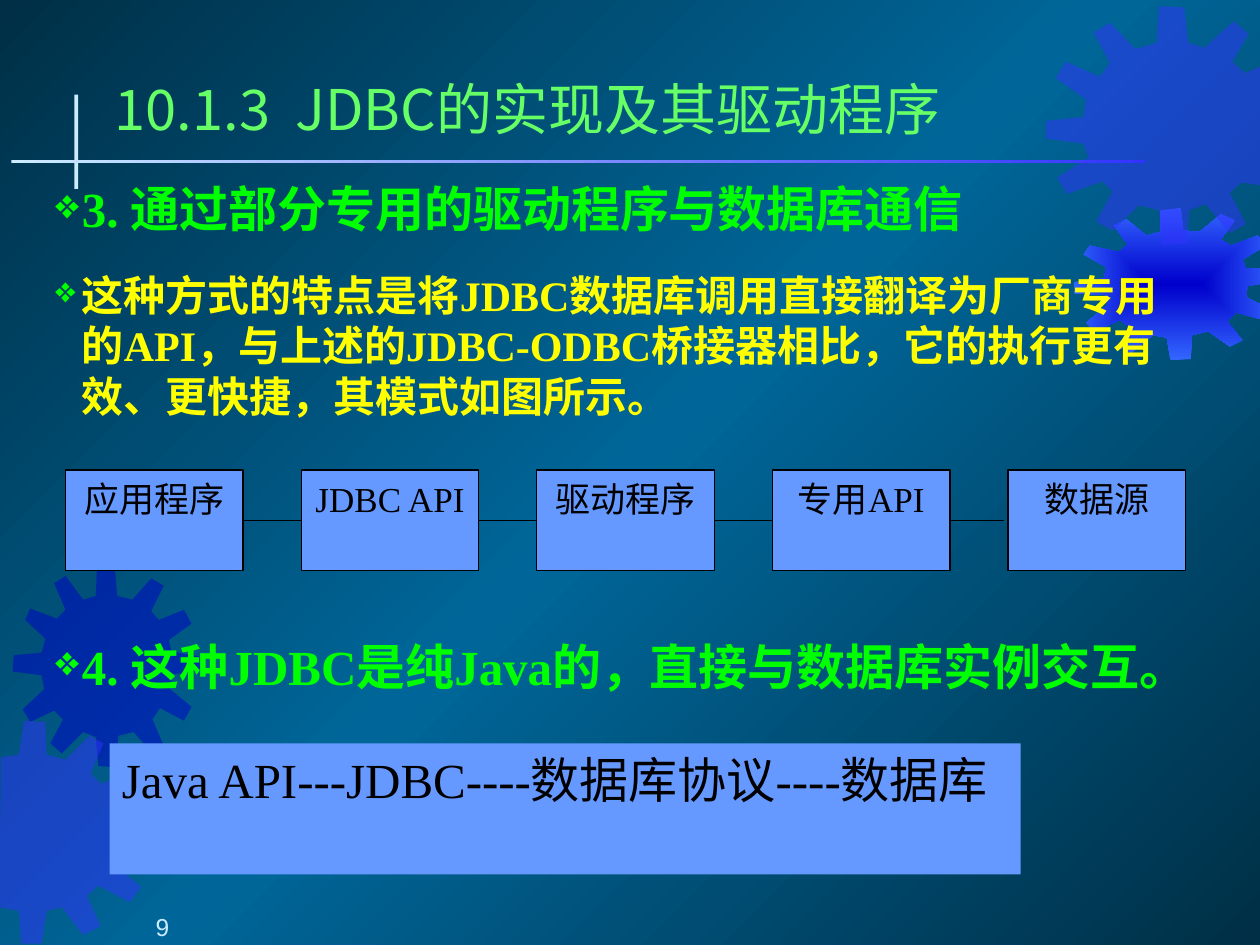
import pptx
import pptx.util
import pptx.dml.color
import pptx.enum.shapes
import pptx.enum.text
import pptx.oxml.ns
from lxml import etree

RGB = pptx.dml.color.RGBColor
BLACK = RGB(0x00, 0x00, 0x00)
NIGHT = RGB(0x00, 0x2F, 0x46)
SEA = RGB(0x00, 0x66, 0x99)
NAVY = RGB(0x00, 0x00, 0xCC)
BLUE = RGB(0x33, 0x33, 0xFF)
AZURE = RGB(0x33, 0x66, 0xFF)
SKY = RGB(0x66, 0x99, 0xFF)
ICE = RGB(0xCC, 0xEC, 0xFF)
MINT = RGB(0x66, 0xFF, 0x66)
GREEN = RGB(0x00, 0xFF, 0x00)
YELLOW = RGB(0xFF, 0xFF, 0x00)

SERIF, SANS, HAN = "Times New Roman", "Arial", "Noto Sans CJK SC"
COLS, ROWS = 1000, 750
ALIGN = pptx.enum.text.PP_ALIGN
ANCHOR = pptx.enum.text.MSO_ANCHOR
RECT = pptx.enum.shapes.MSO_SHAPE.RECTANGLE
STRAIGHT = pptx.enum.shapes.MSO_CONNECTOR.STRAIGHT
qn = pptx.oxml.ns.qn

LOW_GEAR = """105,476 93,473 91,449 77,450 76,473 66,476 52,457 43,463 52,484 45,491 24,483
20,492 36,507 33,518 11,520 10,533 33,536 35,547 18,563 24,573 43,564 50,571 40,590 49,598
66,581 76,585 78,608 92,609 94,584 106,581 121,598 130,592 121,571 127,562 146,572 152,561
135,547 137,535 159,533 158,521 136,517 134,508 152,495 146,484 126,492 120,485 130,465
120,459"""
EDGE_GEAR = """90,686 94,672 124,670 123,653 95,651 90,640 115,623 108,612 80,622 72,614 82,590
71,584 52,603 37,599 36,573 19,572 15,599 1,601 -1,720 15,723 17,749 33,749 37,723 49,720
66,742 80,735 69,711 78,703 103,716 112,704"""
MID_GEAR = """952,184 939,183 937,165 921,167 921,184 910,187 894,174 884,179 895,194 888,200
865,195 860,202 878,212 876,221 852,224 852,233 877,234 879,242 862,256 869,263 889,254
897,260 887,275 898,280 915,266 926,268 929,286 945,285 946,266 959,263 976,275 986,270
974,255 981,248 1003,254 1008,245 989,236 990,227 1014,223 1013,214 989,213 986,206 1005,195
998,187 977,195 969,190 980,175 969,170"""
TOP_GEAR = """904,163 920,167 922,195 942,193 944,167 957,162 976,185 989,178 976,153 985,145
1000,147 1000,53 988,58 978,49 991,27 979,17 956,38 943,34 940,6 920,5 918,34 901,39 881,18
868,26 881,50 873,61 846,49 838,62 862,79 860,93 830,96 830,110 860,114 864,125 839,141
847,154 875,144 883,152 870,176 883,183"""


class Deck:
    """Hold the style and the current slide, placed on a grid of COLS by ROWS."""

    def __init__(self):
        self.show = pptx.Presentation()
        self.show.slide_width = pptx.util.Inches(10)
        self.show.slide_height = pptx.util.Inches(7.5)
        self.col = self.show.slide_width // COLS
        self.row = self.show.slide_height // ROWS
        self.slide = self.show.slides.add_slide(self.show.slide_layouts[6])
        self.shapes = self.slide.shapes

    def place(self, x, y, w, h):
        return x * self.col, y * self.row, w * self.col, h * self.row

    def blend(self, fill, root, hues, angle=None):
        fill.gradient()
        node = root.find(".//" + qn("a:gradFill"))
        for child in list(node):
            node.remove(child)
        stops = etree.SubElement(node, qn("a:gsLst"))
        for i, hue in enumerate(hues):
            share = str(100000 * i // (len(hues) - 1))
            stop = etree.SubElement(stops, qn("a:gs"), pos=share)
            etree.SubElement(stop, qn("a:srgbClr"), val=str(hue))
        if angle is None:
            glow = etree.SubElement(node, qn("a:path"))
            glow.set("path", "rect")
            sides = dict.fromkeys("ltrb", "50000")
            etree.SubElement(glow, qn("a:fillToRect"), **sides)
        else:
            etree.SubElement(node, qn("a:lin"), ang=str(angle * 60000), scaled="1")

    def paint(self, shape, hue, line=None):
        shape.shadow.inherit = False
        if hue:
            shape.fill.solid()
            shape.fill.fore_color.rgb = hue
        if line:
            shape.line.color.rgb = line
            shape.line.width = pptx.util.Pt(0.75)
        else:
            shape.line.fill.background()
        return shape

    def gear(self, outline, hue=None):
        first, *rest = [tuple(map(int, spot.split(","))) for spot in outline.split()]
        pen = self.shapes.build_freeform(*first, scale=self.col)
        pen.add_line_segments(rest, close=True)
        shape = self.paint(pen.convert_to_shape(), hue)
        if hue:
            tint = shape.element.spPr.find(".//" + qn("a:srgbClr"))
            etree.SubElement(tint, qn("a:alpha"), val="50000")
        else:
            self.blend(shape.fill, shape.element, [NAVY, AZURE])

    def rect(self, spot, hue, line=None):
        return self.paint(self.shapes.add_shape(RECT, *self.place(*spot)), hue, line)

    def box(self, spot):
        return self.shapes.add_textbox(*self.place(*spot))

    def frame(self, shape, pad, anchor=ANCHOR.TOP):
        frame = shape.text_frame
        frame.word_wrap = True
        frame.vertical_anchor = anchor
        frame.margin_left = frame.margin_right = pad[0] * self.col
        frame.margin_top = frame.margin_bottom = pad[1] * self.row
        return frame

    def label(self, para, text, size, hue, font=SERIF, bold=False, align=ALIGN.LEFT,
              before=0, lead=None, left=0, hang=0, mark=False):
        para.text = text
        para.alignment = align
        para.space_before = pptx.util.Pt(before)
        para.line_spacing = lead
        props = para._p.get_or_add_pPr()
        props.set("marL", str(left * self.col))
        props.set("indent", str(-hang * self.col))
        if mark:
            tint = etree.SubElement(props, qn("a:buClr"))
            etree.SubElement(tint, qn("a:srgbClr"), val=str(GREEN))
            etree.SubElement(props, qn("a:buSzPct"), val="85000")
            etree.SubElement(props, qn("a:buChar"), char="❖")
        for run in para.runs:
            run.font.size = pptx.util.Pt(size)
            run.font.name = font
            run.font.bold = bold
            run.font.color.rgb = hue
            etree.SubElement(run.font._element, qn("a:ea"), typeface=HAN)

    def point(self, para, text, size, hue, before):
        self.label(para, text, size, hue, bold=True, before=before, left=21, hang=21, mark=True)

    def wire(self, x, y, end):
        line = self.shapes.add_connector(
            STRAIGHT, x * self.col, y * self.row, end * self.col, y * self.row)
        line.line.color.rgb = BLACK
        line.line.width = pptx.util.Pt(0.75)
        etree.SubElement(line.element.spPr, qn("a:effectLst"))
        return line

    def chain(self, names, x, y, w, h, step):
        wire = self.wire(x + w, y + h // 2, x + step * (len(names) - 1) - 3)
        for i, name in enumerate(names):
            node = self.rect((x + i * step, y, w, h), SKY, BLACK)
            self.label(self.frame(node, (10, 5)).paragraphs[0], name, 20, BLACK,
                       align=ALIGN.CENTER, before=2.5, lead=1.04, left=21, hang=21)
            if i == 0:
                wire.begin_connect(node, 3)


def main():
    deck = Deck()
    deck.blend(deck.slide.background.fill, deck.slide.element, [NIGHT, SEA, NIGHT], 45)
    deck.gear(LOW_GEAR, NAVY)
    deck.gear(EDGE_GEAR, BLUE)
    deck.gear(MID_GEAR)
    deck.gear(TOP_GEAR, BLUE)
    deck.rect((59, 75, 3, 75), ICE)
    rule = deck.rect((9, 127, 900, 2), None)
    deck.blend(rule.fill, rule.element, [ICE, BLUE], 0)

    title = deck.frame(deck.box((87, 54, 884, 63)), (4, 5), ANCHOR.MIDDLE)
    deck.label(title.paragraphs[0], "10.1.3  JDBC的实现及其驱动程序", 32, MINT, HAN)

    body = deck.frame(deck.box((40, 138, 900, 200)), (4, 4))
    deck.point(body.paragraphs[0], "3. 通过部分专用的驱动程序与数据库通信", 28, GREEN, 3.5)
    deck.point(body.add_paragraph(),
               "这种方式的特点是将JDBC数据库调用直接翻译为厂商专用的API，"
               "与上述的JDBC-ODBC桥接器相比，它的执行更有效、更快捷，其模式如图所示。",
               24, YELLOW, 18)

    names = ["应用程序", "JDBC API", "驱动程序", "专用API", "数据源"]
    deck.chain(names, 52, 373, 141, 80, 187)

    pure = deck.frame(deck.box((40, 501, 900, 101)), (4, 4))
    deck.point(pure.paragraphs[0], "4. 这种JDBC是纯Java的，直接与数据库实例交互。", 28, GREEN, 3.5)

    flow = deck.frame(deck.rect((87, 590, 723, 104), SKY), (10, 5))
    deck.label(flow.paragraphs[0], "Java API---JDBC----数据库协议----数据库", 28, BLACK, before=17.5)

    page = deck.frame(deck.box((0, 705, 208, 42)), (10, 0), ANCHOR.BOTTOM)
    deck.label(page.paragraphs[0], "9", 14, ICE, SANS, align=ALIGN.CENTER, left=50)
    deck.show.save("out.pptx")


if __name__ == "__main__":
    main()
